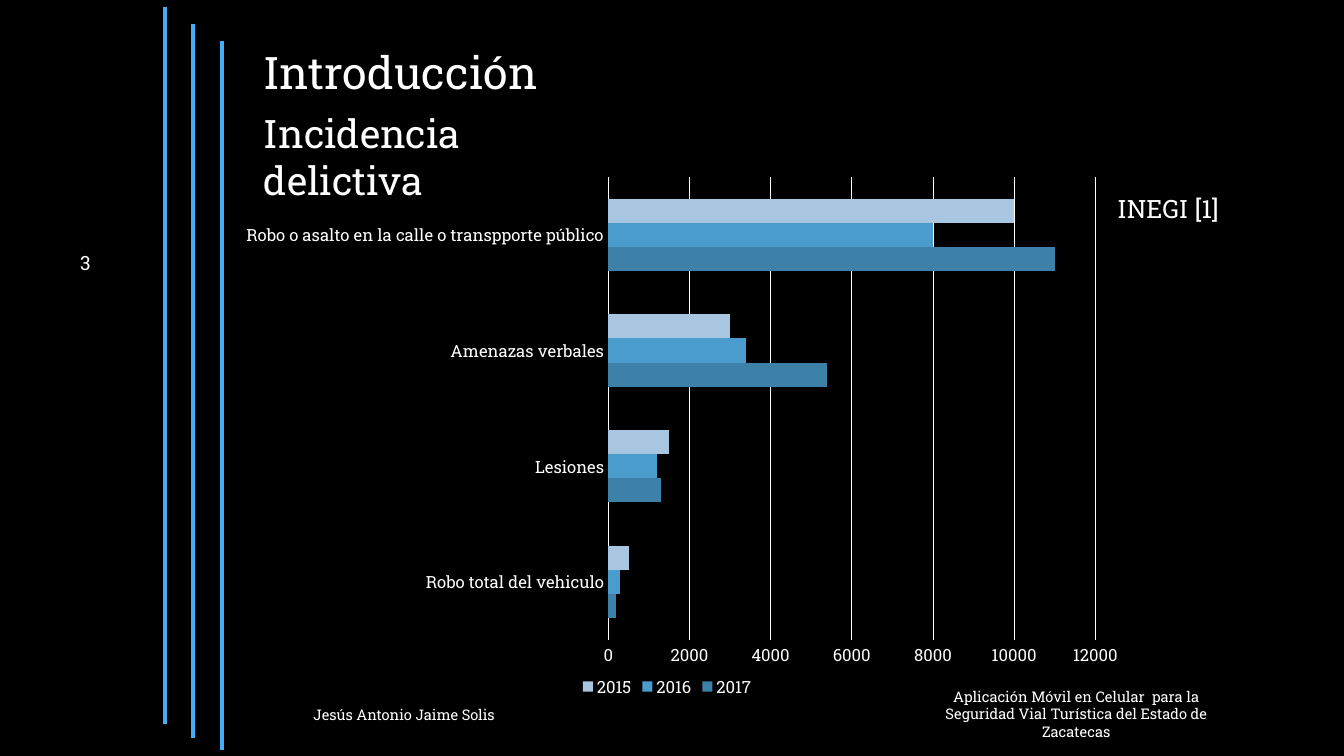
from lxml.etree import SubElement
from pptx import Presentation
from pptx.chart.data import CategoryChartData
from pptx.dml.color import RGBColor
from pptx.enum.chart import XL_CHART_TYPE, XL_LEGEND_POSITION, XL_TICK_MARK
from pptx.enum.shapes import MSO_CONNECTOR
from pptx.enum.text import MSO_ANCHOR, MSO_AUTO_SIZE, PP_ALIGN
from pptx.oxml.ns import qn
from pptx.util import Cm, Pt

BLACK = RGBColor(0x00, 0x00, 0x00)
WHITE = RGBColor(0xFF, 0xFF, 0xFF)
SKY_BLUE = RGBColor(0x45, 0xAD, 0xF8)
DARK_BLUE = RGBColor(0x3D, 0x81, 0xA9)
MEDIUM_BLUE = RGBColor(0x4A, 0x9C, 0xCC)
PALE_BLUE = RGBColor(0xA9, 0xC6, 0xE0)

CRIMES = ["Robo total del vehiculo", "Lesiones", "Amenazas verbales",
          "Robo o asalto en la calle o transpporte público"]
YEARS = [
    ("2017", [200, 1300, 5400, 11000], DARK_BLUE),
    ("2016", [300, 1200, 3400, 8000], MEDIUM_BLUE),
    ("2015", [500, 1500, 3000, 10000], PALE_BLUE),
]
PLOT_AREA = {"x": 0.434, "y": 0.122, "w": 0.547, "h": 0.775}
STRIPES = [(0.18, 18.24), (0.61, 18.59), (1.04, 18.9)]


def format_font(font, size, color=WHITE, name="Roboto Slab"):
    font.size = Pt(size)
    font.name = name
    font.color.rgb = color


class SlideBuilder:
    """Draws styled elements on the current slide."""

    def __init__(self, presentation):
        self.slide = presentation.slides.add_slide(presentation.slide_layouts[6])
        background = self.slide.background.fill
        background.solid()
        background.fore_color.rgb = BLACK

    def text(self, text, left, top, width, height, size=10.5,
             align=PP_ALIGN.LEFT, anchor=MSO_ANCHOR.TOP, wrap=True, grow=False):
        shape = self.slide.shapes.add_textbox(Cm(left), Cm(top), Cm(width), Cm(height))
        frame = shape.text_frame
        frame.word_wrap = wrap
        frame.auto_size = MSO_AUTO_SIZE.SHAPE_TO_FIT_TEXT if grow else MSO_AUTO_SIZE.NONE
        frame.vertical_anchor = anchor
        paragraph = frame.paragraphs[0]
        paragraph.alignment = align
        run = paragraph.add_run()
        run.text = text
        format_font(run.font, size)

    def stripe(self, x, top, bottom):
        connector = self.slide.shapes.add_connector(
            MSO_CONNECTOR.STRAIGHT, Cm(x), Cm(top), Cm(x), Cm(bottom))
        connector.line.color.rgb = SKY_BLUE
        connector.line.width = Pt(3)
        SubElement(connector._element.spPr, qn("a:effectLst"))

    def bar_chart(self, categories, series_rows, left, top, width, height):
        data = CategoryChartData(number_format="General")
        data.categories = categories
        for name, values, _ in series_rows:
            data.add_series(name, values)
        chart = self.slide.shapes.add_chart(
            XL_CHART_TYPE.BAR_CLUSTERED, Cm(left), Cm(top), Cm(width), Cm(height), data).chart
        format_font(chart.font, 10)
        chart.has_title = False
        chart.has_legend = True
        chart.legend.position = XL_LEGEND_POSITION.BOTTOM
        chart.legend.include_in_layout = False
        format_font(chart.legend.font, 12)

        plot = chart.plots[0]
        plot.gap_width = 182
        plot.overlap = 0
        plot.vary_by_categories = False
        for series, (_, _, color) in zip(plot.series, series_rows):
            series.format.fill.solid()
            series.format.fill.fore_color.rgb = color

        for axis in (chart.category_axis, chart.value_axis):
            axis.major_tick_mark = XL_TICK_MARK.NONE
            axis.minor_tick_mark = XL_TICK_MARK.NONE
            format_font(axis.tick_labels.font, 12)
        values_axis = chart.value_axis
        values_axis.minimum_scale = 0
        values_axis.maximum_scale = 12000
        values_axis.major_unit = 2000
        values_axis.format.line.fill.background()
        values_axis.has_major_gridlines = True
        for line in (chart.category_axis.format.line, values_axis.major_gridlines.format.line):
            line.color.rgb = WHITE
            line.width = Pt(0.75)
        self.place_plot(chart)

    def place_plot(self, chart):
        plot_area = chart._chartSpace.chart.plotArea
        for old_layout in plot_area.findall(qn("c:layout")):
            plot_area.remove(old_layout)
        layout = SubElement(plot_area, qn("c:layout"))
        plot_area.insert(0, layout)
        manual = SubElement(layout, qn("c:manualLayout"))
        settings = [("layoutTarget", "inner"), ("xMode", "edge"), ("yMode", "edge")]
        for tag, value in settings + list(PLOT_AREA.items()):
            SubElement(manual, qn(f"c:{tag}")).set("val", str(value))


def main():
    presentation = Presentation()
    presentation.slide_width = Cm(33.87)
    presentation.slide_height = Cm(19.05)
    builder = SlideBuilder(presentation)

    builder.text("Aplicación Móvil en Celular  para la Seguridad Vial Turística del Estado de Zacatecas",
                 22.96, 17.2, 8.33, 1.6, align=PP_ALIGN.CENTER, grow=True)
    builder.text("Jesús Antonio Jaime Solis", 7.65, 17.5, 18.54, 1.02, anchor=MSO_ANCHOR.MIDDLE)
    builder.text("3", 0.46, 6.1, 2.08, 1.02, size=14, align=PP_ALIGN.RIGHT,
                 anchor=MSO_ANCHOR.MIDDLE)
    for index, (top, bottom) in enumerate(STRIPES):
        builder.stripe(4.15 + 0.72 * index, top, bottom)
    builder.text("INEGI [1]", 27.91, 4.75, 3.28, 1.02, size=18, wrap=False, grow=True)
    builder.text("Incidencia delictiva", 6.4, 2.62, 9.55, 1.45, size=28, grow=True)
    builder.text("Introducción", 6.38, 0.99, 12.32, 1.63, size=32, grow=True)
    builder.bar_chart(CRIMES, YEARS, 5.59, 2.62, 22.58, 15.06)
    presentation.save("out.pptx")


if __name__ == "__main__":
    main()
